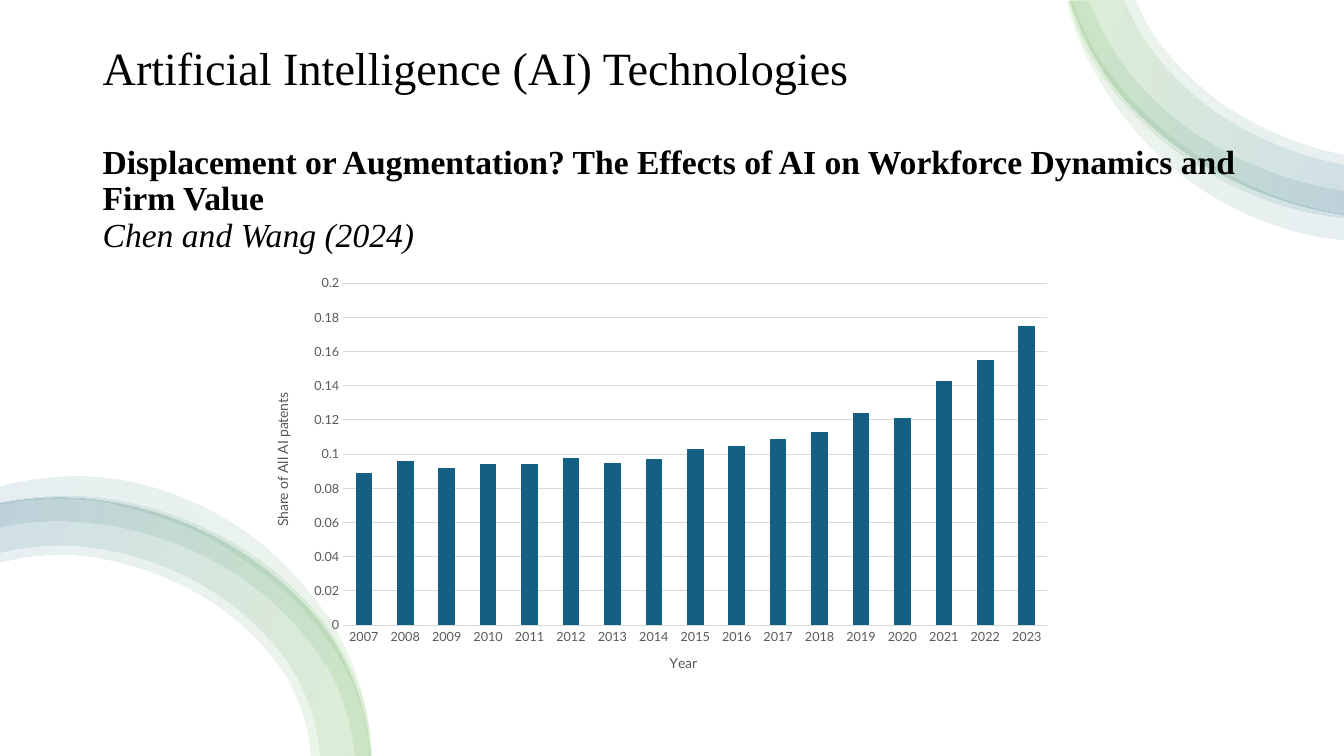
from math import dist

from lxml import etree
from pptx import Presentation
from pptx.chart.data import CategoryChartData as Data
from pptx.dml.color import RGBColor
from pptx.enum.chart import XL_CHART_TYPE as Kind, XL_TICK_MARK as Tick
from pptx.enum.text import MSO_ANCHOR as Anchor
from pptx.oxml import parse_xml
from pptx.oxml.ns import nsdecls, qn
from pptx.util import Inches, Pt

SERIF, SANS = "Times New Roman", "Lato"
BLACK, GREY, PALE, TEAL, GREEN = "000000", "595959", "D9D9D9", "156082", "4EA72E"
STOPS = [(0, GREEN), (100, TEAL)]

# Outer and inner edges of the translucent bands, in inches
TOP_ARC = [(10.61, 0), (11.07, 0.88), (11.67, 1.45), (12.41, 1.87), (13.33, 2.13)]
TOP = [
    ([(10.58, 0.01), (10.71, 0.41), (10.97, 0.9), (11.31, 1.35), (11.73, 1.74),
      (12.22, 2.05), (13.05, 2.34), (13.33, 2.38)],
     [(13.33, 2.13), (12.85, 2.02), (12.35, 1.82), (11.88, 1.55), (11.45, 1.22),
      (11.08, 0.83), (10.79, 0.38), (10.64, 0.01)]),
    (TOP_ARC, [(13.33, 1.54), (12.83, 1.4), (11.96, 0.91), (11.36, 0.21), (11.26, 0)]),
    ([(10.6, 0.01), (10.75, 0.43), (11.4, 1.28), (11.83, 1.61), (12.31, 1.88),
      (13.1, 2.13), (13.33, 2.16)],
     [(13.33, 1.9), (12.91, 1.81), (12.43, 1.64), (11.57, 1.11), (11.22, 0.75),
      (10.95, 0.34), (10.8, 0.01)]),
    (TOP_ARC, [(13.33, 1.64), (12.79, 1.49), (11.89, 0.99), (11.27, 0.26), (11.15, 0.01)]),
]
LOW_ARC = [(3.68, 7.5), (3.31, 6.37), (2.59, 5.62), (1.64, 5.12), (0.56, 4.94), (0, 5)]
LOW = [
    (LOW_ARC, [(0, 5.58), (0.56, 5.5), (1.49, 5.67), (2.32, 6.13), (2.89, 6.8), (3.09, 7.5)]),
    (LOW_ARC, [(0, 5.48), (0.56, 5.41), (1.53, 5.58), (2.38, 6.06), (2.97, 6.76), (3.18, 7.5)]),
    ([(3.68, 7.5), (3.63, 7.06), (3.46, 6.59), (2.85, 5.78), (2.44, 5.47), (1.98, 5.22),
      (0.97, 4.94), (0.44, 4.93), (0, 4.99)],
     [(0, 5.23), (0.45, 5.17), (0.94, 5.19), (1.41, 5.28), (1.87, 5.44), (2.68, 5.95),
      (3.01, 6.29), (3.28, 6.67), (3.45, 7.1), (3.52, 7.5)]),
    ([(3.69, 7.5), (3.5, 6.61), (3.26, 6.14), (2.93, 5.72), (2.53, 5.35), (2.07, 5.06),
      (1, 4.74), (0.43, 4.75), (0, 4.83)],
     [(0, 5), (0.45, 4.95), (0.97, 4.97), (1.47, 5.09), (1.95, 5.27), (2.39, 5.53),
      (2.8, 5.84), (3.15, 6.21), (3.43, 6.64), (3.61, 7.11), (3.66, 7.5)]),
]
SHARES = [0.089, 0.096, 0.092, 0.094, 0.094, 0.098, 0.095, 0.097, 0.103, 0.105,
          0.109, 0.113, 0.124, 0.121, 0.143, 0.155, 0.175]


def color(code):
    return RGBColor.from_string(code)


def style(font, size, code, name):
    font.size, font.name = Pt(size), name
    font.color.rgb = color(code)


def mix(p, q, a, b):
    return tuple(a * u + b * v for u, v in zip(p, q))


def curve(knots):
    """Two handles and an end for each smooth span between knots."""
    gaps = [dist(p, q) for p, q in zip(knots, knots[1:])]
    ways = [mix(q, p, 1 / d, -1 / d) for p, q, d in zip(knots, knots[1:], gaps)]
    mids = [mix(v, w, e / (d + e), d / (d + e))
            for v, w, d, e in zip(ways, ways[1:], gaps, gaps[1:])]
    turns = [mix(ways[0], mids[0], 2, -1), *mids, mix(ways[-1], mids[-1], 2, -1)]
    dots = []
    for p, q, v, w, d in zip(knots, knots[1:], turns, turns[1:], gaps):
        dots += [mix(p, v, 1, d / 3), mix(q, w, 1, -d / 3), q]
    return dots


def band(slide, outer, inner, angle):
    first, second = curve(outer), curve(inner)
    dots = [(Inches(x), Inches(y)) for x, y in [outer[0], *first, inner[0], *second]]
    pen = slide.shapes.build_freeform(*dots[0])
    pen.add_line_segments(dots[1:], close=True)
    shape = pen.convert_to_shape()
    shape.shadow.inherit = False
    shape.line.fill.background()
    # Join each three points of an edge into one curve
    lines = list(shape.element.iter(qn("a:lnTo")))
    start = len(first) + 1
    for edge in (lines[:len(first)], lines[start:start + len(second)]):
        for trio in zip(edge[::3], edge[1::3], edge[2::3]):
            bend = etree.Element(qn("a:cubicBezTo"))
            trio[0].addprevious(bend)
            for line in trio:
                bend.append(line[0])
                line.getparent().remove(line)
    # Gradient at 10 % opacity
    stops = "".join(
        f'<a:gs pos="{at * 1000}"><a:srgbClr val="{code}"><a:alpha val="10000"/>'
        f'</a:srgbClr></a:gs>' for at, code in STOPS)
    fill = parse_xml(f'<a:gradFill {nsdecls("a")} rotWithShape="1"><a:gsLst>{stops}</a:gsLst>'
                     f'<a:lin ang="{angle * 60000}" scaled="0"/></a:gradFill>')
    shape.element.spPr.find(qn("a:custGeom")).addnext(fill)


def title(slide):
    box = slide.shapes.add_textbox(Inches(0.92), Inches(0.4), Inches(11.5), Inches(1.45))
    frame = box.text_frame
    frame.word_wrap, frame.vertical_anchor = True, Anchor.TOP
    lines = [
        ("Artificial Intelligence (AI) Technologies", 33, False, False, 0),
        ("Displacement or Augmentation? The Effects of AI on Workforce Dynamics and Firm Value",
         24, True, False, 36),
        ("Chen and Wang (2024)", 24, False, True, 0),
    ]
    for i, (text, size, bold, slant, gap) in enumerate(lines):
        para = frame.add_paragraph() if i else frame.paragraphs[0]
        para.text = text
        para.line_spacing, para.space_before = 0.9, Pt(gap)
        style(para.font, size, BLACK, SERIF)
        para.font.bold, para.font.italic = bold, slant


def place(node, after, **spots):
    """Fix the place of a chart part as shares of the chart area."""
    for old in node.findall(qn("c:layout")):
        node.remove(old)
    outer = etree.Element(qn("c:layout"))
    inner = etree.SubElement(outer, qn("c:manualLayout"))
    if "w" in spots:
        etree.SubElement(inner, qn("c:layoutTarget")).set("val", "inner")
    for key in "xy":
        etree.SubElement(inner, qn(f"c:{key}Mode")).set("val", "edge")
    for key, spot in spots.items():
        etree.SubElement(inner, qn(f"c:{key}")).set("val", str(spot))
    node.insert(after, outer)


def axis(part, text, x, y):
    part.major_tick_mark = part.minor_tick_mark = Tick.NONE
    style(part.tick_labels.font, 9, GREY, SANS)
    frame = part.axis_title.text_frame
    frame.text = text
    para = frame.paragraphs[0]
    style(para.font, 10, GREY, SANS)
    para.font.bold = False
    place(part.axis_title.element, 1, x=x, y=y)


def bars(slide):
    data = Data()
    data.categories = [str(year) for year in range(2007, 2024)]
    data.add_series("Series 1", SHARES)
    chart = slide.shapes.add_chart(Kind.COLUMN_CLUSTERED, Inches(2.52), Inches(2.64),
                                   Inches(8.03), Inches(4.24), data).chart
    chart.has_legend = chart.has_title = False
    style(chart.font, 10, BLACK, SANS)
    plot = chart.plots[0]
    plot.gap_width, plot.vary_by_categories = 150, False
    fill = plot.series[0].format.fill
    fill.solid()
    fill.fore_color.rgb = color(TEAL)
    # Axes and grid
    cat, val = chart.category_axis, chart.value_axis
    axis(cat, "Year", 0.51, 0.9)
    axis(val, "Share of All AI patents", 0.02, 0.29)
    val.minimum_scale, val.maximum_scale, val.major_unit = 0, 0.2, 0.02
    val.format.line.fill.background()
    for line in (cat.format.line, val.major_gridlines.format.line):
        line.color.rgb, line.width = color(PALE), Pt(0.75)
    place(chart.element.find(".//" + qn("c:plotArea")), 0, x=0.11, y=0.04, w=0.87, h=0.8)


def main():
    deck = Presentation()
    deck.slide_width, deck.slide_height = Inches(13.33), Inches(7.5)
    slide = deck.slides.add_slide(deck.slide_layouts[6])
    # Corner bands
    for bands, angle in ((TOP, 20), (LOW, 200)):
        for outer, inner in bands:
            band(slide, outer, inner, angle)
    # Heading and chart
    title(slide)
    bars(slide)
    deck.save("out.pptx")


if __name__ == "__main__":
    main()
